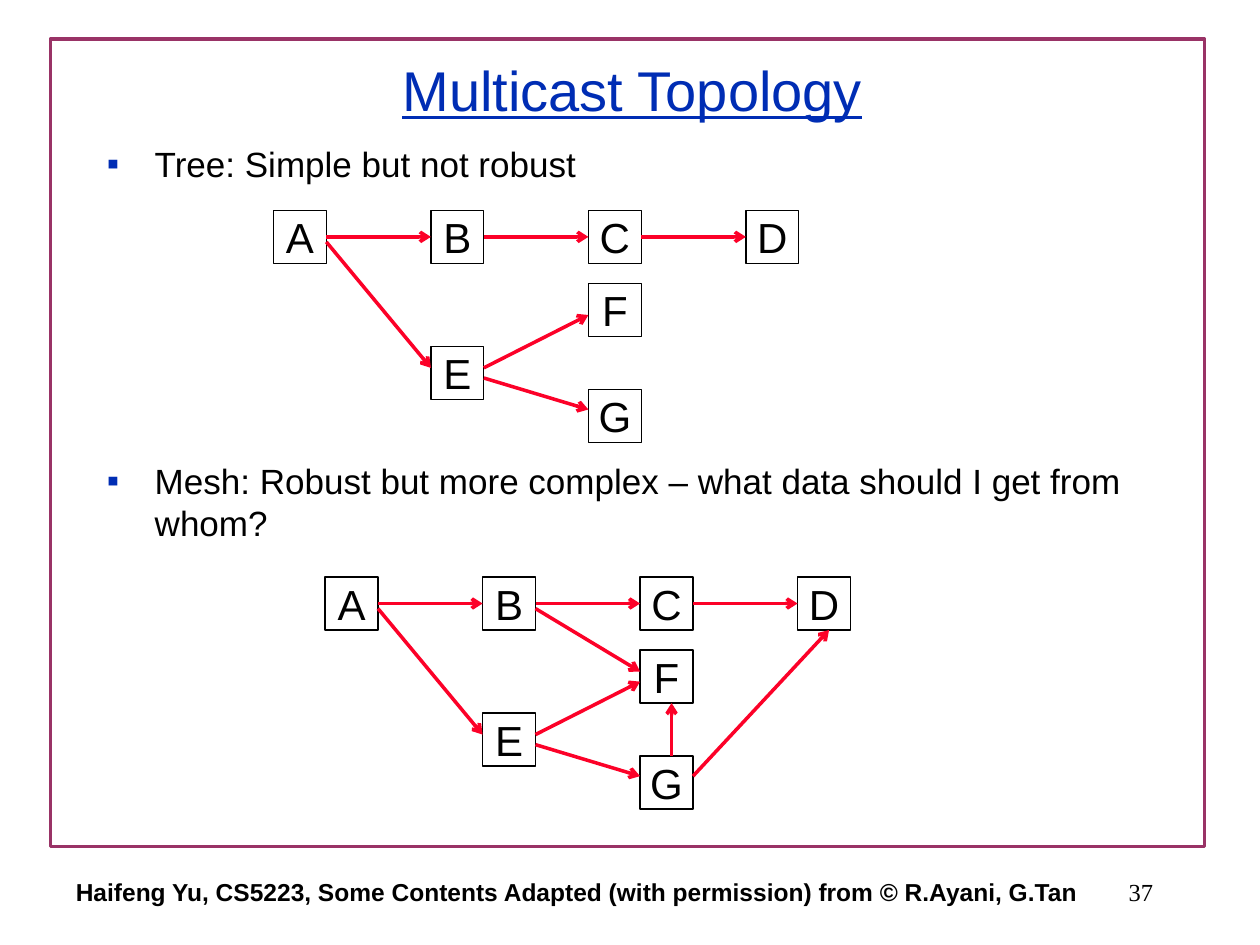
from itertools import pairwise

from lxml import etree
from pptx import Presentation
from pptx import util as u
from pptx.dml.color import RGBColor
from pptx.enum import shapes, text
from pptx.oxml.ns import qn

COLORS = {"frame": "993366", "title": "002DB4", "ink": "000000", "arrow": "FC0128"}
BOX = 0.42
STEP = 1.25
# Column and row offset of each node from the graph's top left corner
NODES = {"A": (0, 0), "B": (1, 0), "C": (2, 0), "D": (3, 0),
         "E": (1, 1.08), "F": (2, 0.58), "G": (2, 1.42)}
# Slanted arrows, as offsets from the same corner
TREE_ARROWS = [(0.42, 0.25, 1.25, 1.25), (1.67, 1.25, 2.5, 0.83), (1.67, 1.33, 2.5, 1.58)]
MESH_ARROWS = TREE_ARROWS + [(1.67, 0.25, 2.5, 0.75), (2.92, 1.58, 4, 0.42),
                             (2.75, 1.42, 2.75, 1)]
CENTER, RIGHT = text.PP_ALIGN.CENTER, text.PP_ALIGN.RIGHT
MIDDLE = text.MSO_ANCHOR.MIDDLE


def rgb(name):
    return RGBColor.from_string(COLORS[name])


class Deck:
    def __init__(self, prs):
        self.s = prs.slides.add_slide(prs.slide_layouts[6])
        self.font = {"name": "Arial", "size": u.Pt(20), "bold": False}

    def add_words(self, p, words, color="ink", **font):
        r = p.add_run()
        r.text = words
        for key, value in {**self.font, **font}.items():
            setattr(r.font, key, value)
        r.font.color.rgb = rgb(color)

    def rect(self, x, y, w, h, color, width):
        sp = self.s.shapes.add_shape(shapes.MSO_SHAPE.RECTANGLE,
                                     *map(u.Inches, (x, y, w, h)))
        sp.shadow.inherit = False
        sp.fill.background()
        sp.line.color.rgb = rgb(color)
        sp.line.width = u.Pt(width)
        return sp

    def label(self, x, y, w, h, words, align=CENTER, wrap=False, **style):
        tf = self.s.shapes.add_textbox(*map(u.Inches, (x, y, w, h))).text_frame
        tf.word_wrap = wrap
        tf.vertical_anchor = MIDDLE
        tf.paragraphs[0].alignment = align
        self.add_words(tf.paragraphs[0], words, **style)

    def bullets(self, x, y, w, h, items):
        """Bulleted text from pairs of wording and space before in points."""
        tf = self.s.shapes.add_textbox(*map(u.Inches, (x, y, w, h))).text_frame
        tf.word_wrap = True
        for i, (words, before) in enumerate(items):
            p = tf.add_paragraph() if i else tf.paragraphs[0]
            p.space_before = u.Pt(before)
            self.add_words(p, words)
            pPr = p._p.get_or_add_pPr()
            pPr.set("marL", str(u.Inches(0.38)))
            pPr.set("indent", str(u.Inches(-0.38)))
            clr = etree.SubElement(pPr, qn("a:buClr"))
            etree.SubElement(clr, qn("a:srgbClr"), val=COLORS["title"])
            etree.SubElement(pPr, qn("a:buFont"), typeface="Arial")
            etree.SubElement(pPr, qn("a:buChar"), char="▪")

    def node(self, x, y, letter):
        sp = self.rect(x, y, BOX, BOX, "ink", 0.75)
        tf = sp.text_frame
        tf.word_wrap = False
        tf.vertical_anchor = MIDDLE
        tf.paragraphs[0].alignment = CENTER
        self.add_words(tf.paragraphs[0], letter, size=u.Pt(24))
        return sp

    def arrow(self, x1=0, y1=0, x2=0, y2=0, joined=None):
        """Arrow between two points, or from the right to the left side of a joined pair."""
        c = self.s.shapes.add_connector(shapes.MSO_CONNECTOR.STRAIGHT,
                                        *map(u.Inches, (x1, y1, x2, y2)))
        if joined:
            c.begin_connect(joined[0], 3)
            c.end_connect(joined[1], 1)
        c.line.color.rgb = rgb("arrow")
        c.line.width = u.Pt(2)
        spPr = c._element.spPr
        etree.SubElement(spPr.find(qn("a:ln")), qn("a:tailEnd"), type="arrow")
        etree.SubElement(spPr, qn("a:effectLst"))

    def graph(self, x, y, arrows):
        nodes = {letter: self.node(x + col * STEP, y + row, letter)
                 for letter, (col, row) in NODES.items()}
        for start, end in pairwise("ABCD"):
            self.arrow(joined=(nodes[start], nodes[end]))
        for x1, y1, x2, y2 in arrows:
            self.arrow(x + x1, y + y1, x + x2, y + y2)


def main():
    prs = Presentation()
    prs.slide_width, prs.slide_height = u.Inches(10), u.Inches(7.5)
    deck = Deck(prs)
    deck.rect(0.4, 0.31, 9.16, 6.41, "frame", 2)
    deck.label(0.33, 6.83, 8.5, 0.5,
               "Haifeng Yu, CS5223, Some Contents Adapted (with permission) from © R.Ayani, G.Tan",
               size=u.Pt(14), bold=True)
    deck.label(7.17, 6.83, 2.08, 0.5, "37", RIGHT, name="Times New Roman", size=u.Pt(14))
    deck.label(0.77, 0.25, 8.5, 0.92, "Multicast Topology", wrap=True,
               color="title", size=u.Pt(32), underline=True)
    deck.bullets(0.75, 1.08, 8.5, 3.3, [
        ("Tree: Simple but not robust", 0),
        ("Mesh: Robust but more complex – what data should I get from whom?", 157.5)])
    deck.graph(2.17, 1.67, TREE_ARROWS)
    deck.graph(2.58, 4.58, MESH_ARROWS)
    prs.save("out.pptx")


if __name__ == "__main__":
    main()
